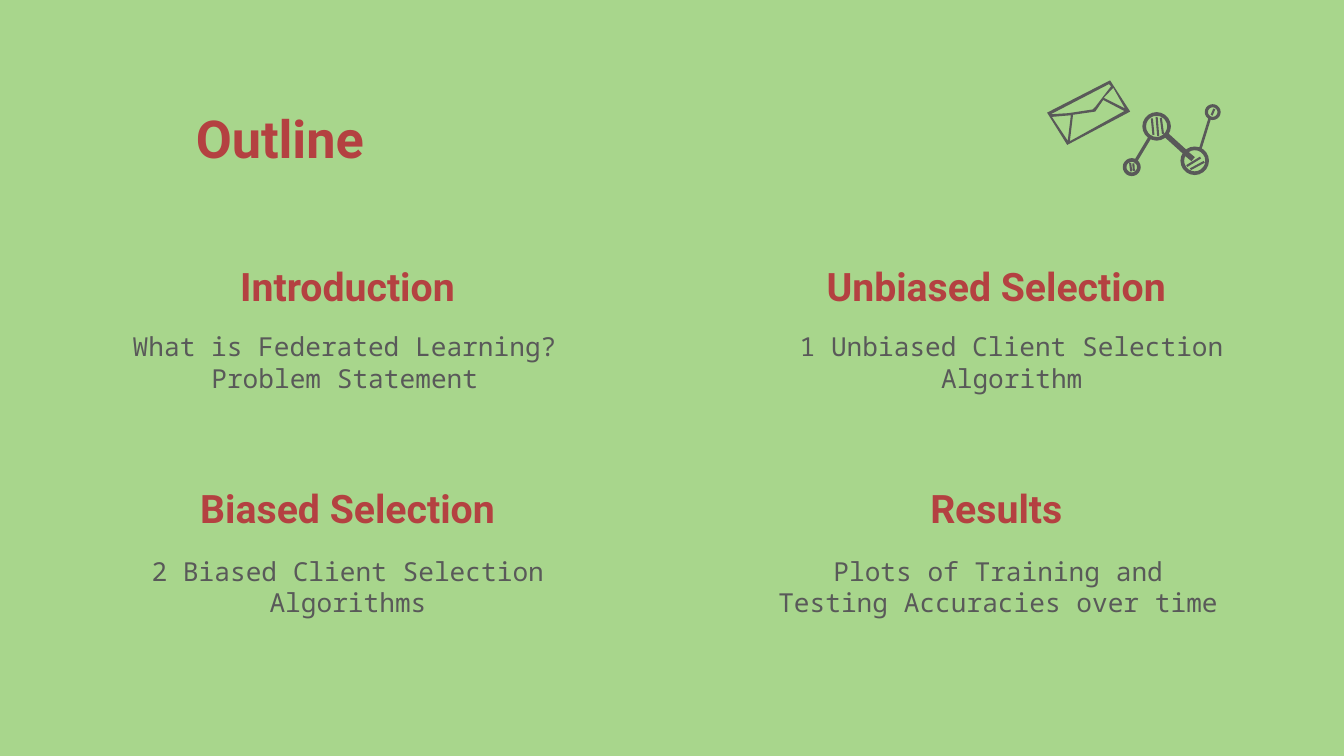
from math import cos, hypot, pi, sin

from lxml import etree
from pptx import Presentation
from pptx.dml.color import RGBColor
from pptx.enum.text import MSO_ANCHOR, MSO_AUTO_SIZE, PP_ALIGN
from pptx.oxml.ns import qn
from pptx.util import Cm, Pt

LEFT, CENTER = PP_ALIGN.LEFT, PP_ALIGN.CENTER
TOP, BOTTOM = MSO_ANCHOR.TOP, MSO_ANCHOR.BOTTOM
HEX = {"green": "A8D68C", "red": "B44141", "gray": "595959"}
RGB = {name: RGBColor.from_string(code) for name, code in HEX.items()}

deck = Presentation()
deck.slide_width, deck.slide_height = Cm(25.4), Cm(14.29)
slide = deck.slides.add_slide(deck.slide_layouts[4])
slide.background.fill.solid()
slide.background.fill.fore_color.rgb = RGB["green"]
shapes = slide.shapes


def write(box, place, text, font, size, color, bold, align, anchor):
    """Place a text shape and fill it with one plain paragraph."""
    box.left, box.top, box.width, box.height = map(Cm, place)
    frame = box.text_frame
    frame.word_wrap = True
    frame.auto_size = MSO_AUTO_SIZE.NONE
    frame.vertical_anchor = anchor
    frame.margin_left = frame.margin_right = Cm(0.25)
    frame.margin_top = frame.margin_bottom = Cm(0.25)
    frame.text = text
    para = frame.paragraphs[0]
    props = para._p.get_or_add_pPr()
    props.set("marL", "0")
    props.set("indent", "0")
    etree.SubElement(props, qn("a:buNone"))
    para.alignment = align
    para.space_before = Pt(0)
    para.font.name, para.font.size = font, Pt(size)
    para.font.bold = bold
    para.font.color.rgb = RGB[color]
    return para


def draw(loops):
    """Draw closed loops of points as one gray shape; inner loops are holes."""
    pen = None
    for loop in loops:
        (x, y), *rest = [(Cm(x), Cm(y)) for x, y in loop]
        if pen:
            pen.move_to(x, y)
        else:
            pen = shapes.build_freeform(x, y)
        pen.add_line_segments(rest, close=True)
    icon = pen.convert_to_shape()
    icon.shadow.inherit = False
    icon.fill.solid()
    icon.fill.fore_color.rgb = RGB["gray"]
    icon.line.fill.background()


title = write(shapes.title, (3.45, 1.98, 6.73, 1.78), "Outline",
              "Roboto", 28, "red", True, LEFT, TOP)
title.line_spacing = 0.8

# Molecule: rings (centre, outer and inner radius), then bars (ends, width)
rings = [(21.86, 2.39, 0.27, 0.2), (22.58, 3.04, 0.27, 0.2),
         (21.39, 3.16, 0.17, 0.1), (22.92, 2.12, 0.15, 0.09)]
bars = [
    # links
    (22.06, 2.57, 22.38, 2.86, 0.1), (22.43, 2.91, 22.55, 3.01, 0.1),
    (21.72, 2.62, 21.48, 3.02, 0.06), (22.86, 2.25, 22.69, 2.8, 0.05),
    # shading of the balls
    (21.77, 2.24, 21.8, 2.55, 0.04), (21.86, 2.21, 21.89, 2.57, 0.04),
    (21.94, 2.23, 21.98, 2.53, 0.04), (22.43, 3.14, 22.69, 2.98, 0.04),
    (22.5, 3.2, 22.76, 3.06, 0.04), (21.36, 3.08, 21.38, 3.24, 0.04),
    (21.42, 3.09, 21.43, 3.23, 0.04), (22.9, 2.18, 22.95, 2.06, 0.04),
]
loops = []
for x, y, *radii in rings:
    for r in radii:
        loops.append([(x + r * cos(k * pi / 10), y + r * sin(k * pi / 10))
                      for k in range(20)])
for x1, y1, x2, y2, width in bars:
    half = width / 2 / hypot(x2 - x1, y2 - y1)
    dx, dy = half * (y1 - y2), half * (x2 - x1)
    loops.append([(x1 + dx, y1 + dy), (x2 + dx, y2 + dy),
                  (x2 - dx, y2 - dy), (x1 - dx, y1 - dy)])
draw(loops)

# Envelope: outline, then the four faces
draw([
    [(20.98, 1.52), (21.36, 2.11), (20.17, 2.74), (19.79, 2.13)],
    [(20.96, 1.59), (21, 1.63), (20.71, 2.01), (20.65, 2.07),
     (20.19, 2.14), (19.86, 2.16)],
    [(21.04, 1.66), (21.26, 2.05), (20.86, 1.85)],
    [(20.85, 1.89), (21.25, 2.1), (20.22, 2.67), (20.28, 2.17), (20.7, 2.11)],
    [(20.24, 2.18), (20.18, 2.66), (19.88, 2.21)],
])

# Topics: heading, text, left and width of the text
topics = [
    ("Introduction", "What is Federated Learning? Problem Statement", 1.73, 9.58),
    ("Unbiased Selection", "1 Unbiased Client Selection Algorithm", 14.83, 8.59),
    ("Biased Selection", "2 Biased Client Selection Algorithms", 2.59, 7.98),
    ("Results", "Plots of Training and Testing Accuracies over time", 14.33, 9.08),
]
for i, (head, text, left, width) in enumerate(topics):
    row, col = divmod(i, 2)
    box = shapes.add_textbox(0, 0, 0, 0)
    write(box, (2.52 + 12.26 * col, 4.74 + 4.2 * row, 8.1, 1.35), head,
          "Roboto", 21, "red", True, CENTER, BOTTOM)
    write(slide.placeholders[i + 1], (left, 6 + 4.24 * row, width, 1.98), text,
          "Noto Sans Mono", 14, "gray", False, CENTER, TOP)

deck.save("out.pptx")
